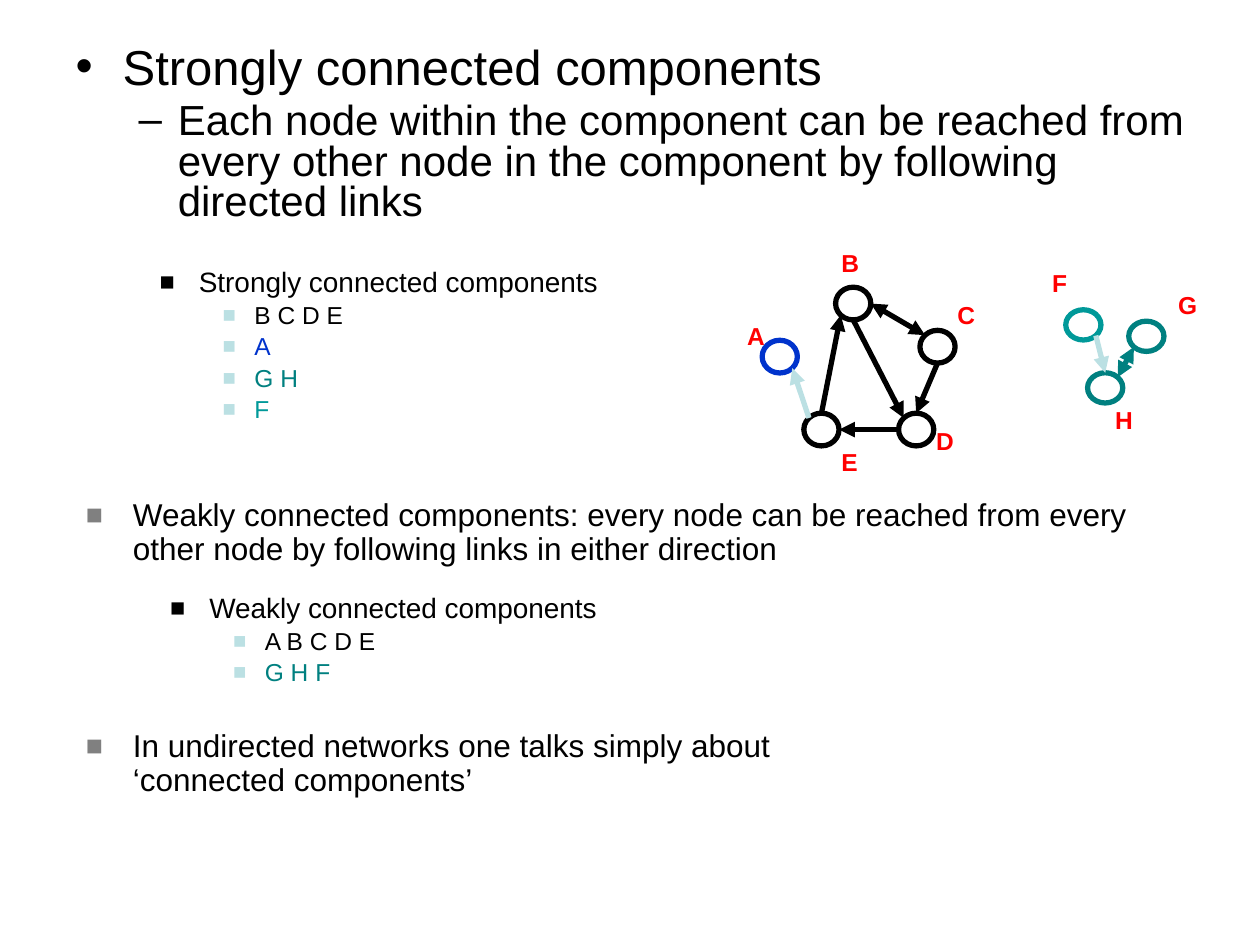
"""Build a slide on strongly and weakly connected components of a directed graph."""
from math import cos, radians, sin

from pptx import Presentation
from pptx.dml.color import RGBColor
from pptx.enum.shapes import MSO_CONNECTOR as Link, MSO_SHAPE as Shape
from pptx.enum.text import MSO_ANCHOR as Anchor, MSO_AUTO_SIZE as Fit
from pptx.oxml.ns import qn
from pptx.util import Cm, Pt
from lxml.etree import SubElement

HUES = {"black": "000000", "blue": "0033CC", "teal": "008080", "aqua": "009999",
        "pale": "BBE0E3", "gray": "808080", "red": "FF0000"}

LEVELS = {
    "head": dict(level=0, left=0.95, hang=0.95, size=28, space=0.8, mark="•"),
    "sub": dict(level=1, left=2.06, hang=0.79, size=24, space=0.8, mark="–"),
    "point": dict(level=0, left=0.95, hang=0.95, size=18, space=0.9, mark="■", hue="gray"),
    "group": dict(level=1, left=2.06, hang=0.79, size=16, space=0.9, mark="■", hue="black"),
    "set": dict(level=2, left=3.18, hang=0.64, size=14, space=0.9, mark="■", hue="pale"),
}

INTRO = [
    ("head", "Strongly connected components", "black"),
    ("sub", "Each node within the component can be reached from every other node "
            "in the component by following directed links", "black"),
]
INTRO_BOX = (1.27, 0.84, 22.86, 2.08)

LISTS = [
    ((1.7, 5.28, 12.7, 3.61), [
        ("group", "Strongly connected components", "black"),
        ("set", "B C D E", "black"),
        ("set", "A", "blue"),
        ("set", "G H", "teal"),
        ("set", "F", "aqua"),
    ]),
    ((1.48, 9.95, 22.86, 1.07), [
        ("point", "Weakly connected components: every node can be reached from every "
                  "other node by following links in either direction", "black"),
    ]),
    ((1.91, 11.85, 12.7, 3.61), [
        ("group", "Weakly connected components", "black"),
        ("set", "A B C D E", "black"),
        ("set", "G H F", "teal"),
    ]),
    ((1.48, 14.6, 14.4, 2.11), [
        ("point", "In undirected networks one talks simply about ‘connected components’", "black"),
    ]),
]

WIDE, TALL, LOW = 0.71, 0.66, 0.61
NODES = {
    "A": ((15.72, 7.19), TALL, "blue", (14.81, 6.35)),
    "B": ((17.2, 6.12), TALL, "black", (16.71, 4.88)),
    "C": ((18.9, 6.99), TALL, "black", (19.05, 5.92)),
    "D": ((18.47, 8.66), TALL, "black", (18.62, 8.46)),
    "E": ((16.56, 8.66), TALL, "black", (16.71, 8.89)),
    "F": ((21.84, 6.55), LOW, "aqua", (20.96, 5.28)),
    "G": ((23.11, 6.78), LOW, "teal", (23.5, 5.72)),
    "H": ((22.28, 7.82), LOW, "teal", (22.23, 8.05)),
}

SIDES = {"right": 0, "top right": 45, "top": 90, "top left": 135,
         "left": 180, "low left": 225, "low": 270, "low right": 315}
LINKS = [
    ("B", "right", "C", "top left", "black", True),
    ("C", "low", "D", "top", "black", False),
    ("D", "left", "E", "right", "black", False),
    ("B", "low", "D", "top left", "black", False),
    ("E", "top", "B", "low left", "black", False),
    ("E", "top left", "A", "low right", "pale", False),
    ("F", "low right", "H", "top", "pale", False),
    ("H", "top right", "G", "low left", "teal", True),
]


def hue(name):
    return RGBColor.from_string(HUES[name])


def style(para, size, color, bold=False):
    for run in para.runs:
        font = run.font
        font.name, font.size, font.bold = "Arial", Pt(size), bold
        font.color.rgb = hue(color)


def bullet(para, look):
    props = para._p.get_or_add_pPr()
    props.set("marL", str(Cm(look["left"])))
    props.set("indent", str(-Cm(look["hang"])))
    if "hue" in look:
        tint = SubElement(props, qn("a:buClr"))
        SubElement(tint, qn("a:srgbClr"), val=HUES[look["hue"]])
        SubElement(props, qn("a:buSzPct"), val="90000")
    SubElement(props, qn("a:buFont"), typeface="Arial")
    SubElement(props, qn("a:buChar"), char=look["mark"])


def fill(frame, items):
    frame.word_wrap, frame.auto_size = True, Fit.NONE
    frame.vertical_anchor = Anchor.TOP
    frame.text = "\n".join(text for _, text, _ in items)
    for i, (para, (kind, _, color)) in enumerate(zip(frame.paragraphs, items)):
        look = LEVELS[kind]
        bullet(para, look)
        para.level = look["level"]
        para.line_spacing = look["space"]
        para.space_before = Pt(look["size"] * 0.2 if i else 0)
        style(para, look["size"], color)


def add_node(shapes, name):
    (x, y), tall, color, _ = NODES[name]
    node = shapes.add_shape(Shape.OVAL, Cm(x - WIDE / 2), Cm(y - tall / 2), Cm(WIDE), Cm(tall))
    node.shadow.inherit = False
    node.fill.background()
    node.line.color.rgb, node.line.width = hue(color), Pt(3)


def add_label(shapes, name):
    x, y = NODES[name][3]
    frame = shapes.add_textbox(Cm(x), Cm(y), Cm(0.86), Cm(0.84)).text_frame
    frame.text = name
    frame.word_wrap, frame.auto_size = False, Fit.SHAPE_TO_FIT_TEXT
    style(frame.paragraphs[0], 14, "red", True)


def rim(name, side):
    (x, y), tall, *_ = NODES[name]
    turn = radians(SIDES[side])
    return Cm(x + WIDE / 2 * cos(turn)), Cm(y - tall / 2 * sin(turn))


def add_link(shapes, start, out, end, into, color, both):
    link = shapes.add_connector(Link.STRAIGHT, *rim(start, out), *rim(end, into))
    link.line.color.rgb, link.line.width = hue(color), Pt(3)
    line = link.line._get_or_add_ln()
    for tip in ("a:headEnd", "a:tailEnd") if both else ("a:tailEnd",):
        SubElement(line, qn(tip), type="triangle")
    SubElement(link._element.spPr, qn("a:effectLst"))


def main():
    deck = Presentation()
    deck.slide_width, deck.slide_height = Cm(25.4), Cm(19.05)
    slide = deck.slides.add_slide(deck.slide_layouts[1])
    shapes = slide.shapes
    title = shapes.title._element
    title.getparent().remove(title)
    body = slide.placeholders[1]
    body.left, body.top, body.width, body.height = map(Cm, INTRO_BOX)
    fill(body.text_frame, INTRO)
    for name in NODES:
        add_node(shapes, name)
    for link in LINKS:
        add_link(shapes, *link)
    for box, items in LISTS:
        fill(shapes.add_textbox(*map(Cm, box)).text_frame, items)
    for name in NODES:
        add_label(shapes, name)
    deck.save("out.pptx")


if __name__ == "__main__":
    main()
